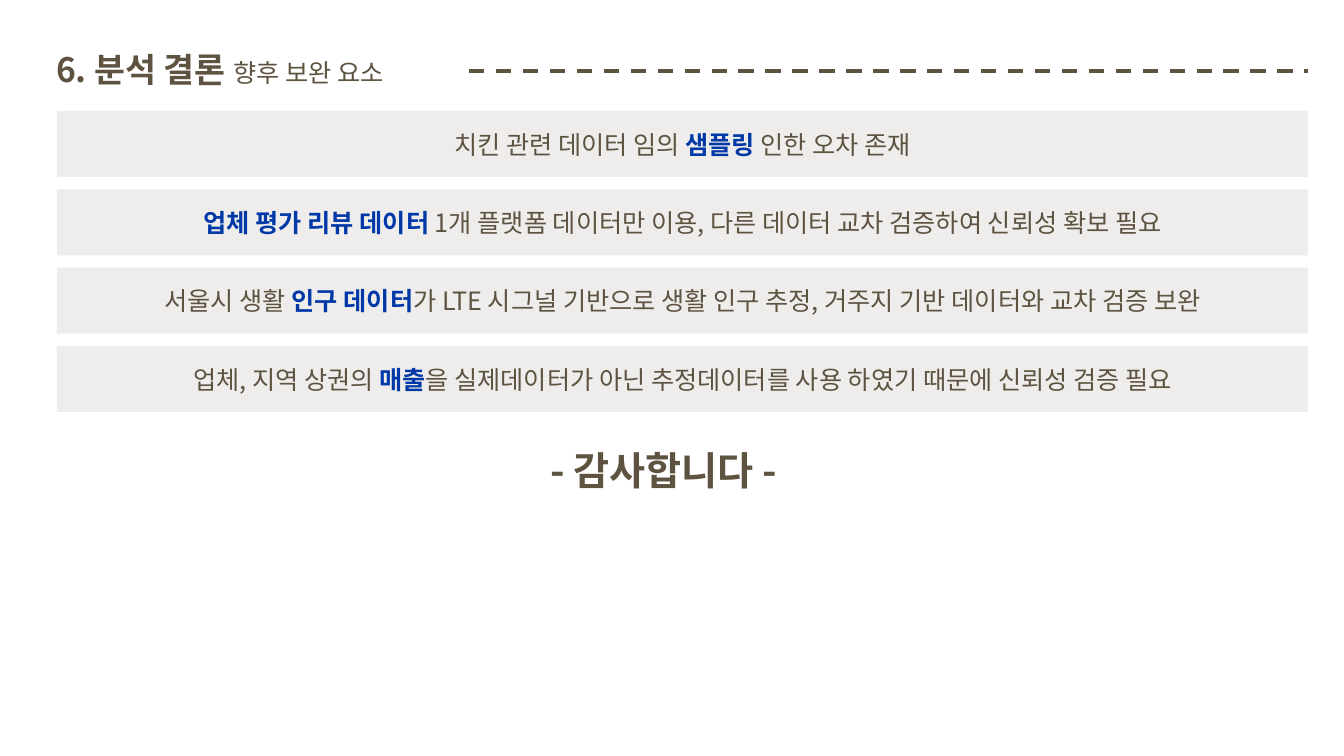
from dataclasses import dataclass

from lxml import etree
from pptx import Presentation
from pptx.dml.color import RGBColor
from pptx.enum.dml import MSO_LINE
from pptx.enum.shapes import MSO_CONNECTOR, MSO_SHAPE
from pptx.enum.text import MSO_ANCHOR, MSO_AUTO_SIZE, PP_ALIGN
from pptx.oxml.ns import qn
from pptx.util import Emu, Pt

LEFT, CENTER = PP_ALIGN.LEFT, PP_ALIGN.CENTER
MIDDLE = MSO_ANCHOR.MIDDLE
DASH = MSO_LINE.DASH
STRAIGHT = MSO_CONNECTOR.STRAIGHT
RECTANGLE = MSO_SHAPE.RECTANGLE
NO_AUTOFIT = MSO_AUTO_SIZE.NONE


@dataclass(frozen=True)
class Theme:
    font: str = "Noto Sans CJK KR"
    brown: RGBColor = RGBColor(0x5E, 0x52, 0x40)
    blue: RGBColor = RGBColor(0x00, 0x38, 0xA8)
    body: int = 18
    title: int = 24
    closing: int = 28
    rule: float = 2.75
    band_opacity: int = 10


THEME = Theme()

# Each text is a list of (words, emphasised) spans.
TITLE = ("6. 분석 결론 ", "향후 보완 요소")
FINDINGS = [
    [("치킨 관련 데이터 임의 ", False), ("샘플링 ", True), ("인한 오차 존재", False)],
    [("업체 평가 리뷰 데이터 ", True),
     ("1개 플랫폼 데이터만 이용, 다른 데이터 교차 검증하여 신뢰성 확보 필요", False)],
    [("서울시 생활 ", False), ("인구 데이터", True),
     ("가 LTE 시그널 기반으로 생활 인구 추정, 거주지 기반 데이터와 교차 검증 보완", False)],
    [("업체, 지역 상권의 ", False), ("매출", True),
     ("을 실제데이터가 아닌 추정데이터를 사용 하였기 때문에 신뢰성 검증 필요", False)],
]
CLOSING = "- 감사합니다 -"

# Lengths in px
PAGE_SIZE = (1344, 756)
TITLE_BOX = (46, 32, 794, 79)
RULE_START, RULE_Y = 469, 71
BAND_LEFT, BAND_RIGHT, BAND_HEIGHT = 57, 1308, 66
FIRST_BAND_TOP, LAST_BAND_TOP = 111, 346
CLOSING_BOX = (511, 440, 305, 65)


def px(length):
    return Emu(round(length * 914400 / 100.8))


def write(frame, spans, align=LEFT, spacing=None):
    """Fill a text frame with one paragraph of (words, size, colour, bold) spans."""
    frame.word_wrap = True
    frame.auto_size = NO_AUTOFIT
    frame.vertical_anchor = MIDDLE
    para = frame.paragraphs[0]
    para.alignment = align
    if spacing:
        para.line_spacing = spacing
    for words, size, color, bold in spans:
        span = para.add_run()
        span.text = words
        span.font.size = Pt(size)
        span.font.bold = bold
        span.font.color.rgb = color
        span.font.name = THEME.font
        east_asian = etree.SubElement(span.font._element, qn("a:ea"))
        east_asian.set("typeface", THEME.font)


def add_title(page):
    title = page.shapes.title
    title.left, title.top, title.width, title.height = map(px, TITLE_BOX)
    heading, subheading = TITLE
    write(title.text_frame, [(heading, THEME.title, THEME.brown, True),
                             (subheading, THEME.body, THEME.brown, False)], spacing=0.9)


def add_rule(page):
    rule = page.shapes.add_connector(
        STRAIGHT, px(RULE_START), px(RULE_Y), px(BAND_RIGHT), px(RULE_Y))
    rule.line.color.rgb = THEME.brown
    rule.line.width = Pt(THEME.rule)
    rule.line.dash_style = DASH
    etree.SubElement(rule._element.spPr, qn("a:effectLst"))


def add_band(page, top, finding):
    band = page.shapes.add_shape(
        RECTANGLE, px(BAND_LEFT), px(top), px(BAND_RIGHT - BAND_LEFT), px(BAND_HEIGHT))
    band.shadow.inherit = False
    band.line.fill.background()
    band.fill.solid()
    band.fill.fore_color.rgb = THEME.brown
    color = band._element.spPr.find(qn("a:solidFill"))[0]
    etree.SubElement(color, qn("a:alpha")).set("val", str(THEME.band_opacity * 1000))
    write(band.text_frame,
          [(words, THEME.body, THEME.blue if strong else THEME.brown, strong)
           for words, strong in finding], align=CENTER)


def main():
    deck = Presentation()
    deck.slide_width, deck.slide_height = map(px, PAGE_SIZE)
    page = deck.slides.add_slide(deck.slide_layouts.get_by_name("Title Only"))
    add_title(page)
    add_rule(page)
    step = (LAST_BAND_TOP - FIRST_BAND_TOP) / (len(FINDINGS) - 1)
    for index, finding in enumerate(FINDINGS):
        add_band(page, FIRST_BAND_TOP + index * step, finding)
    closing = page.shapes.add_textbox(*map(px, CLOSING_BOX))
    write(closing.text_frame, [(CLOSING, THEME.closing, THEME.brown, True)],
          align=CENTER, spacing=0.9)
    deck.save("out.pptx")


if __name__ == "__main__":
    main()
